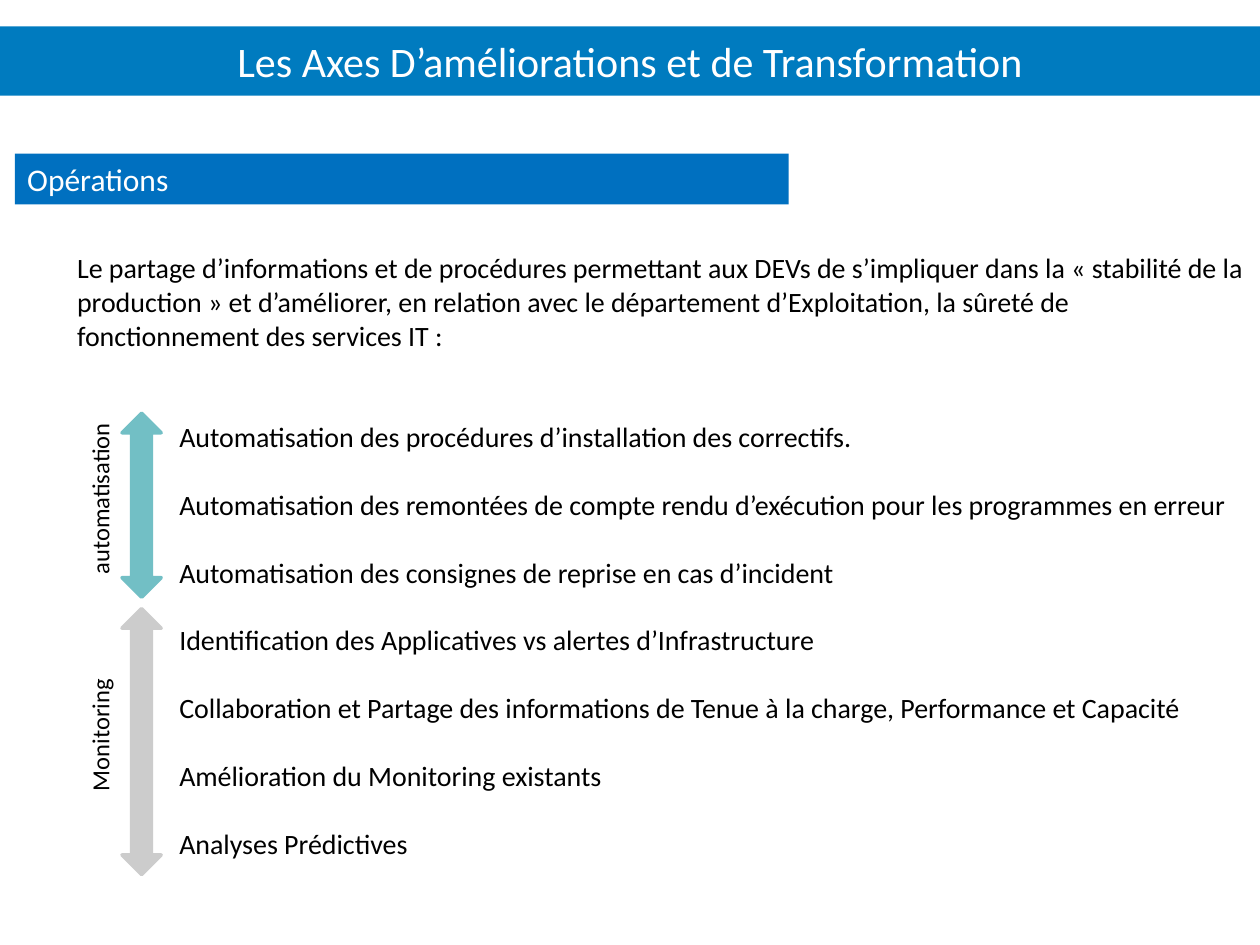
from lxml import etree
from pptx import Presentation
from pptx.dml.color import RGBColor
from pptx.enum.shapes import MSO_SHAPE
from pptx.enum.text import MSO_ANCHOR, MSO_AUTO_SIZE, PP_ALIGN
from pptx.oxml.ns import qn
from pptx.util import Cm, Pt

LEFT, CENTER = PP_ALIGN.LEFT, PP_ALIGN.CENTER
TOP, MIDDLE = MSO_ANCHOR.TOP, MSO_ANCHOR.MIDDLE
NO_FIT = MSO_AUTO_SIZE.NONE
RECTANGLE, DOUBLE_ARROW = MSO_SHAPE.RECTANGLE, MSO_SHAPE.UP_DOWN_ARROW

FONT = "Calibri"
WHITE = RGBColor(0xFF, 0xFF, 0xFF)
BLACK = RGBColor(0x00, 0x00, 0x00)
TITLE_BLUE = RGBColor(0x00, 0x7B, 0xBF)
SECTION_BLUE = RGBColor(0x00, 0x70, 0xC0)
TEAL = RGBColor(0x72, 0xBF, 0xC5)
GREY = RGBColor(0xCC, 0xCC, 0xCC)

TITLE = "Les Axes D’améliorations et de Transformation"
SECTION = "Opérations"
INTRO = (
    "Le partage d’informations et de procédures permettant aux DEVs de "
    "s’impliquer dans la « stabilité de la production » et d’améliorer, en "
    "relation avec le département d’Exploitation, la sûreté de "
    "fonctionnement des services IT :"
)
ACTIONS = [
    "Automatisation des procédures d’installation des correctifs.",
    "Automatisation des remontées de compte rendu d’exécution pour les programmes en erreur",
    "Automatisation des consignes de reprise en cas d’incident",
    "Identification des Applicatives vs alertes d’Infrastructure",
    "Collaboration et Partage des informations de Tenue à la charge, Performance et Capacité",
    "Amélioration du Monitoring existants",
    "Analyses Prédictives",
]
# label, colour, box (left, top, width, height in cm)
PHASES = [
    ("automatisation", TEAL, (2.46, 8.33, 0.79, 3.71)),
    ("Monitoring", GREY, (2.46, 12.27, 0.79, 5.36)),
]
LINE_HEIGHT = 19.5


def place(shape, box):
    shape.left, shape.top, shape.width, shape.height = map(Cm, box)


def paint(shape, color):
    shape.fill.solid()
    shape.fill.fore_color.rgb = color


def set_bullet(para, margin, indent, char=None):
    """Set the indents in cm, and the bullet; no char means no bullet."""
    properties = para._p.get_or_add_pPr()
    properties.set("marL", str(Cm(margin)))
    properties.set("indent", str(Cm(indent)))
    if char:
        font = etree.SubElement(properties, qn("a:buFont"))
        font.set("typeface", "Arial")
        etree.SubElement(properties, qn("a:buChar")).set("char", char)
    else:
        etree.SubElement(properties, qn("a:buNone"))


def write(para, text, size=16, color=BLACK, align=LEFT, before=0):
    para.alignment = align
    para.space_before = Pt(before)
    span = para.add_run()
    span.text = text
    span.font.name = FONT
    span.font.size = Pt(size)
    span.font.color.rgb = color


def prepare_frame(shape, anchor=TOP):
    frame = shape.text_frame
    frame.word_wrap = True
    frame.auto_size = NO_FIT
    frame.vertical_anchor = anchor
    return frame


def add_title(page, box):
    title = page.shapes.title
    place(title, box)
    paint(title, TITLE_BLUE)
    frame = prepare_frame(title, MIDDLE)
    write(frame.paragraphs[0], TITLE, size=24, color=WHITE, align=CENTER)


def add_section_band(page, box):
    band = page.shapes.add_shape(RECTANGLE, *map(Cm, box))
    band.shadow.inherit = False
    paint(band, SECTION_BLUE)
    band.line.fill.background()
    frame = prepare_frame(band, MIDDLE)
    write(frame.paragraphs[0], SECTION, size=18, color=WHITE)


def add_actions(page, box):
    body = page.placeholders[1]
    place(body, box)
    frame = prepare_frame(body)
    intro = frame.paragraphs[0]
    set_bullet(intro, 0, 0)
    write(intro, INTRO)
    for index, action in enumerate(ACTIONS):
        para = frame.add_paragraph()
        para.level = 1
        set_bullet(para, 2.06, -0.79, "•")
        write(para, action, before=LINE_HEIGHT * (1 if index else 2))


def add_phase(page, box, label, color):
    """Draw a vertical double arrow with its upright label to the left."""
    left, top, width, height = box
    arrow = page.shapes.add_shape(DOUBLE_ARROW, *map(Cm, box))
    arrow.shadow.inherit = False
    paint(arrow, color)
    arrow.line.color.rgb = color
    arrow.line.width = Pt(2)

    label_width, label_height = 4.19, 0.86
    center_x = left + width / 2 - 0.84
    center_y = top + height / 2 - 0.13
    caption = page.shapes.add_textbox(
        Cm(center_x - label_width / 2), Cm(center_y - label_height / 2),
        Cm(label_width), Cm(label_height),
    )
    caption.rotation = 270
    write(prepare_frame(caption).paragraphs[0], label, size=14, align=CENTER)


def main():
    deck = Presentation()
    deck.slide_width, deck.slide_height = Cm(25.4), Cm(19.05)
    page = deck.slides.add_slide(deck.slide_layouts[1])
    add_title(page, (0, 0.53, 25.4, 1.4))
    add_actions(page, (1.3, 4.93, 24.2, 12.57))
    add_section_band(page, (0.3, 3.1, 15.6, 1.02))
    for label, color, box in PHASES:
        add_phase(page, box, label, color)
    deck.save("out.pptx")


if __name__ == "__main__":
    main()
